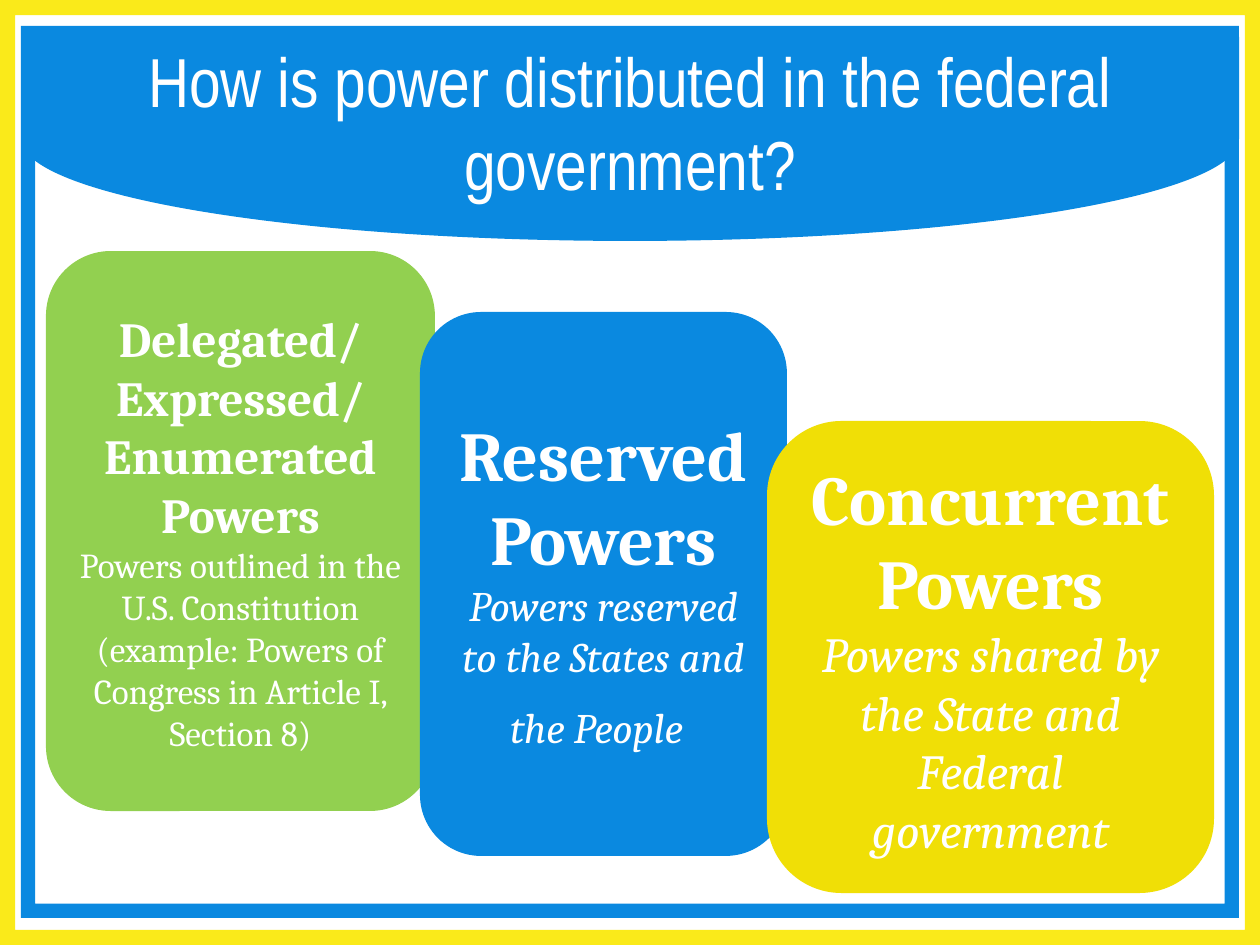
from pptx import Presentation
from pptx.dml.color import RGBColor
from pptx.enum.shapes import MSO_SHAPE
from pptx.enum.text import MSO_ANCHOR, PP_ALIGN
from pptx.util import Emu, Pt

PIXELS_PER_INCH = 126
BLUE = RGBColor(0x0A, 0x89, 0xE0)
BRIGHT_YELLOW = RGBColor(0xFA, 0xEA, 0x1A)
GOLD = RGBColor(0xF0, 0xDF, 0x06)
GREEN = RGBColor(0x92, 0xD0, 0x50)
WHITE = RGBColor(0xFF, 0xFF, 0xFF)


def px(length):
    return Emu(round(length * 914400 / PIXELS_PER_INCH))


def add_filled_shape(slide, kind, bounds, color):
    shape = slide.shapes.add_shape(kind, *map(px, bounds))
    shape.shadow.inherit = False
    shape.fill.solid()
    shape.fill.fore_color.rgb = color
    shape.line.fill.background()
    return shape


def add_frame(slide, bounds, color):
    frame = add_filled_shape(slide, MSO_SHAPE.FRAME, bounds, color)
    frame.adjustments[0] = 0.016


def set_paragraphs(box, lines, font_name):
    text_frame = box.text_frame
    text_frame.word_wrap = True
    text_frame.vertical_anchor = MSO_ANCHOR.MIDDLE
    for index, spans in enumerate(lines):
        para = text_frame.add_paragraph() if index else text_frame.paragraphs[0]
        para.alignment = PP_ALIGN.CENTER
        for text, size, bold, italic in spans:
            span = para.add_run()
            span.text = text
            span.font.name = font_name
            span.font.size = Pt(size)
            span.font.bold = bold
            span.font.italic = italic
            span.font.color.rgb = WHITE


def add_title(slide, text):
    box = slide.shapes.add_textbox(*map(px, (63, 42, 1134, 158)))
    set_paragraphs(box, [[(text, 39.6, False, False)]], "Arial Narrow")


def add_power_card(slide, bounds, color, headings, heading_size, details):
    card = add_filled_shape(slide, MSO_SHAPE.ROUNDED_RECTANGLE, bounds, color)
    lines = [[(heading, heading_size, True, False)] for heading in headings]
    set_paragraphs(card, lines + [details], "Cambria")


def main():
    deck = Presentation()
    deck.slide_width, deck.slide_height = px(1260), px(945)
    slide = deck.slides.add_slide(deck.slide_layouts[6])

    banner = add_filled_shape(
        slide, MSO_SHAPE.FLOWCHART_DELAY, (528, -470, 204, 1218), BLUE)
    banner.rotation = 90
    add_frame(slide, (0, 0, 1260, 945), BRIGHT_YELLOW)
    add_frame(slide, (21, 26, 1218, 892), BLUE)

    add_power_card(
        slide, (46, 251, 389, 560), GREEN,
        ["Delegated/", "Expressed/", "Enumerated Powers"], 28,
        [("Powers outlined in the U.S. Constitution (example: "
          "Powers of Congress in Article I, Section 8)", 20, False, False)])
    add_title(slide, "How is power distributed in the federal government?")
    add_power_card(
        slide, (420, 312, 367, 544), BLUE, ["Reserved Powers"], 40,
        [("Powers reserved to the States and the People", 24, False, True),
         (" ", 36, False, True)])
    add_power_card(
        slide, (767, 421, 447, 472), GOLD, ["Concurrent Powers"], 40,
        [("Powers shared by the State and Federal government", 28, False, True)])

    deck.save("out.pptx")


if __name__ == "__main__":
    main()
